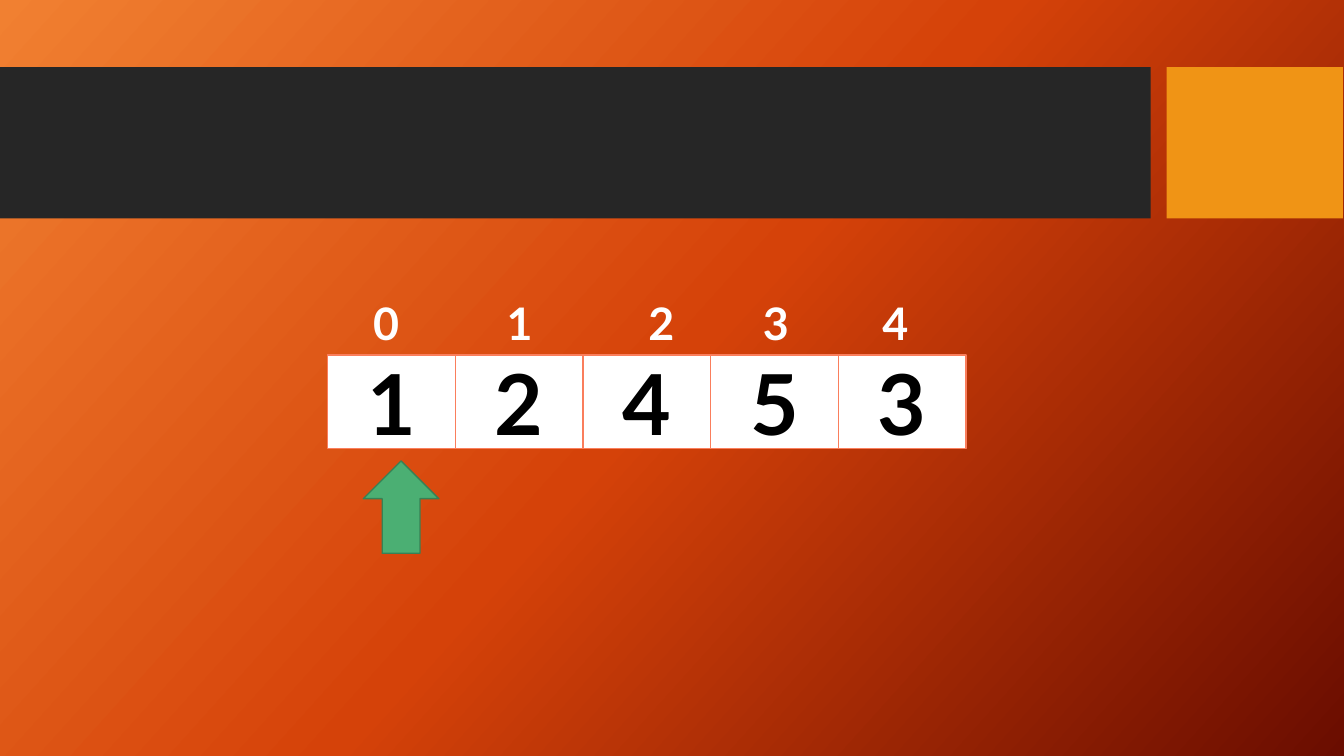
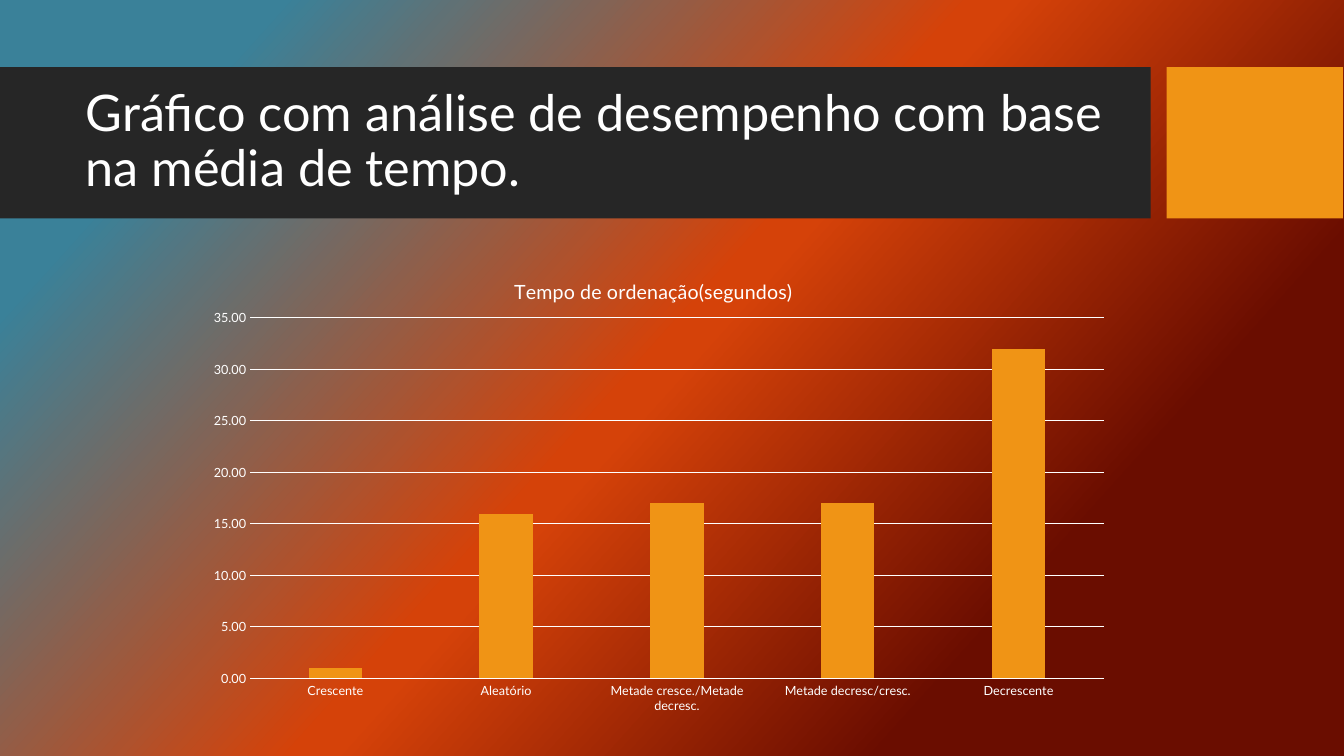
"""Build two slides: an array with a pointer and a chart of sorting times."""
from lxml.etree import SubElement
from pptx import Presentation
from pptx.chart.data import CategoryChartData
from pptx.dml.color import RGBColor
from pptx.enum.chart import XL_CHART_TYPE, XL_TICK_MARK
from pptx.enum.shapes import MSO_SHAPE
from pptx.enum.text import MSO_ANCHOR, MSO_AUTO_SIZE, PP_ALIGN
from pptx.oxml.ns import qn
from pptx.util import Pt

PX = 9525
FONT = "Lato"
WHITE, BLACK, CHARCOAL, AMBER = "FFFFFF", "000000", "262626", "F09415"
CORAL, GREEN, DARK_GREEN = "FA7E5C", "4BAF73", "378155"
TEAL, ORANGE, RUST, MAROON = "3A8199", "F18031", "D54209", "6A0D00"


def color(hex_code):
    return RGBColor.from_string(hex_code)


def style(font, size, hex_code, bold=False):
    font.name = FONT
    font.size = Pt(size)
    font.bold = bold
    font.color.rgb = color(hex_code)


prs = Presentation()
prs.slide_width, prs.slide_height = 1280 * PX, 720 * PX
layout = prs.slide_layouts[5]
array_slide = prs.slides.add_slide(layout)
results_slide = prs.slides.add_slide(layout)

backgrounds = [
    (array_slide, [(0, ORANGE), (50, RUST), (100, MAROON)]),
    (results_slide, [(14, TEAL), (48, RUST), (50, RUST), (77, MAROON)]),
]
for slide, stops in backgrounds:
    background = slide.background.fill
    background.gradient()
    background.gradient_angle = 360 - 42
    stop_list = next(slide.element.iter(qn("a:gsLst")))
    stop_list.clear()
    for percent, hex_code in stops:
        stop = SubElement(stop_list, qn("a:gs"), pos=str(percent * 1000))
        SubElement(stop, qn("a:srgbClr"), val=hex_code)

for left, width, hex_code in [(0, 1096, CHARCOAL), (1111, 168, AMBER)]:
    band = array_slide.shapes.add_shape(
        MSO_SHAPE.RECTANGLE, left * PX, 64 * PX, width * PX, 144 * PX)
    band.shadow.inherit = False
    band.fill.solid()
    band.fill.fore_color.rgb = color(hex_code)
    band.line.fill.background()
    layout.shapes._spTree.insert(2, band._element)

empty_title = array_slide.shapes.title._element
empty_title.getparent().remove(empty_title)

digits = "12453"
cell_width = 608 * PX // len(digits)
for position, digit in enumerate(digits):
    cell = array_slide.shapes.add_shape(
        MSO_SHAPE.RECTANGLE, 312 * PX + cell_width * position, 338 * PX,
        cell_width, 89 * PX)
    cell.shadow.inherit = False
    cell.fill.solid()
    cell.fill.fore_color.rgb = color(WHITE)
    cell.line.color.rgb = color(CORAL)
    cell.line.width = Pt(1)
    cell.text_frame.vertical_anchor = MSO_ANCHOR.MIDDLE
    value = cell.text_frame.paragraphs[0]
    value.alignment = PP_ALIGN.CENTER
    run = value.add_run()
    run.text = digit
    style(run.font, 60, BLACK, bold=True)

for index, left in enumerate([346, 473, 608, 717, 831]):
    label = array_slide.shapes.add_textbox(left * PX, 277 * PX, 50 * PX, 61 * PX)
    label.text_frame.word_wrap = True
    label.text_frame.auto_size = MSO_AUTO_SIZE.SHAPE_TO_FIT_TEXT
    run = label.text_frame.paragraphs[0].add_run()
    run.text = str(index)
    style(run.font, 32, WHITE, bold=True)

pointer = array_slide.shapes.add_shape(
    MSO_SHAPE.UP_ARROW, 346 * PX, 439 * PX, 72 * PX, 88 * PX)
pointer.shadow.inherit = False
pointer.fill.solid()
pointer.fill.fore_color.rgb = color(GREEN)
pointer.line.color.rgb = color(DARK_GREEN)
pointer.line.width = Pt(1)

title = results_slide.shapes.title
title.left, title.top, title.width, title.height = 72 * PX, 79 * PX, 1008 * PX, 114 * PX
title.text_frame.auto_size = MSO_AUTO_SIZE.NONE
title.text_frame.word_wrap = True
title.text_frame.vertical_anchor = MSO_ANCHOR.MIDDLE
heading = title.text_frame.paragraphs[0]
heading.alignment = PP_ALIGN.LEFT
heading.line_spacing = 0.9
run = heading.add_run()
run.text = "Gráfico com análise de desempenho com base na média de tempo."
style(run.font, 36, WHITE)

times = CategoryChartData(number_format="#,##0.00")
times.categories = ["Crescente", "Aleatório", "Metade cresce./Metade decresc.",
                    "Metade decresc/cresc.", "Decrescente"]
times.add_series("Tempo de ordenação(segundos)", [1, 16, 17, 17, 32])
chart = results_slide.shapes.add_chart(
    XL_CHART_TYPE.COLUMN_CLUSTERED, 186 * PX, 238 * PX, 883 * PX, 451 * PX, times).chart
style(chart.font, 10, WHITE)
chart.has_legend = False
chart.has_title = True
run = chart.chart_title.text_frame.paragraphs[0].add_run()
run.text = "Tempo de ordenação(segundos)"
style(run.font, 14, WHITE)
title_layout = chart.chart_title._element.find(qn("c:layout"))
if title_layout is None:
    title_layout = SubElement(chart.chart_title._element, qn("c:layout"))
    chart.chart_title._element.find(qn("c:tx")).addnext(title_layout)
title_place = SubElement(title_layout, qn("c:manualLayout"))
for tag, setting in [("xMode", "edge"), ("yMode", "edge"), ("x", "0.34"), ("y", "0.05")]:
    SubElement(title_place, qn("c:" + tag), val=setting)

columns = chart.plots[0]
columns.gap_width = 219
columns.overlap = -27
columns.vary_by_categories = False
columns.series[0].format.fill.solid()
columns.series[0].format.fill.fore_color.rgb = color(AMBER)

for axis in (chart.category_axis, chart.value_axis):
    axis.major_tick_mark = XL_TICK_MARK.NONE
    axis.minor_tick_mark = XL_TICK_MARK.NONE
    style(axis.tick_labels.font, 9, WHITE)

seconds = chart.value_axis
seconds.minimum_scale, seconds.maximum_scale, seconds.major_unit = 0, 35, 5
seconds.tick_labels.number_format = "#,##0.00"
seconds.tick_labels.number_format_is_linked = False
seconds.format.line.fill.background()
for line in (chart.category_axis.format.line, seconds.major_gridlines.format.line):
    line.color.rgb = color(WHITE)
    line.width = Pt(0.75)

prs.save("out.pptx")
